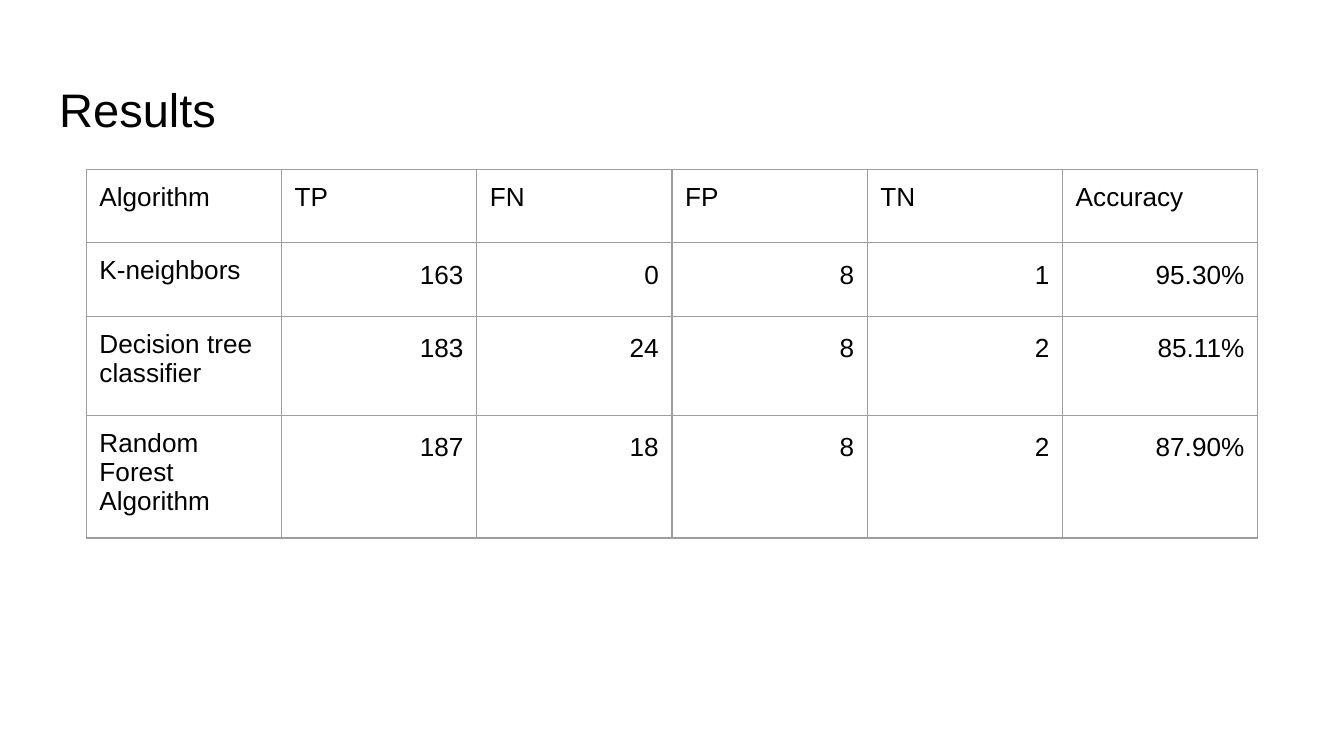
from lxml.etree import SubElement
from pptx import Presentation
from pptx.dml.color import RGBColor
from pptx.enum.text import MSO_ANCHOR, PP_ALIGN
from pptx.oxml.ns import qn
from pptx.util import Cm, Pt

BLACK = RGBColor(0x00, 0x00, 0x00)
GRAY = RGBColor(0x9E, 0x9E, 0x9E)

ROWS = [
    ("Algorithm", "TP", "FN", "FP", "TN", "Accuracy"),
    ("K-neighbors", "163", "0", "8", "1", "95.30%"),
    ("Decision tree classifier", "183", "24", "8", "2", "85.11%"),
    ("Random Forest Algorithm", "187", "18", "8", "2", "87.90%"),
]
ROW_HEIGHTS = (1.39, 1.39, 1.87, 2.32)
COL_WIDTH = 3.69


class SlideBuilder:
    """Draws styled elements on the current slide."""

    font = "Arial"
    inset = Cm(0.25)

    def __init__(self, prs):
        self.s = prs.slides.add_slide(prs.slide_layouts[6])

    def pad(self, box):
        box.margin_left = box.margin_right = self.inset
        box.margin_top = box.margin_bottom = self.inset

    def add_text(self, p, text, size):
        r = p.add_run()
        r.text = text
        r.font.name = self.font
        r.font.size = Pt(size)
        r.font.color.rgb = BLACK

    def title(self, text, left, top, width, height):
        sp = self.s.shapes.add_textbox(Cm(left), Cm(top), Cm(width), Cm(height))
        tf = sp.text_frame
        tf.word_wrap = True
        tf.vertical_anchor = MSO_ANCHOR.BOTTOM
        self.pad(tf)
        self.add_text(tf.paragraphs[0], text, 25.2)

    def border(self, cell):
        tcPr = cell._tc.get_or_add_tcPr()
        for i, side in enumerate(("a:lnL", "a:lnR", "a:lnT", "a:lnB")):
            ln = tcPr.makeelement(qn(side), {"w": str(Pt(0.75))})
            fill = SubElement(ln, qn("a:solidFill"))
            SubElement(fill, qn("a:srgbClr"), val=str(GRAY))
            tcPr.insert(i, ln)

    def cell(self, cell, text, numeric):
        self.pad(cell)
        cell.fill.background()
        self.border(cell)
        p = cell.text_frame.paragraphs[0]
        if numeric:
            p.alignment = PP_ALIGN.RIGHT
            p.line_spacing = 1.15
        self.add_text(p, text, 14)

    def table(self, rows, left, top, col_width, row_heights):
        n = len(rows[0])
        frame = self.s.shapes.add_table(
            len(rows), n, Cm(left), Cm(top), Cm(col_width * n), Cm(sum(row_heights))
        )
        table = frame.table
        table.first_row = table.horz_banding = False
        for col in table.columns:
            col.width = Cm(col_width)
        for i, (values, height) in enumerate(zip(rows, row_heights)):
            table.rows[i].height = Cm(height)
            for j, text in enumerate(values):
                self.cell(table.cell(i, j), text, numeric=i > 0 and j > 0)


def main():
    prs = Presentation()
    prs.slide_width, prs.slide_height = Cm(25.4), Cm(14.29)
    slide = SlideBuilder(prs)
    slide.title("Results", 0.87, 1.24, 23.67, 1.6)
    slide.table(ROWS, 1.63, 3.2, COL_WIDTH, ROW_HEIGHTS)
    prs.save("out.pptx")


if __name__ == "__main__":
    main()
